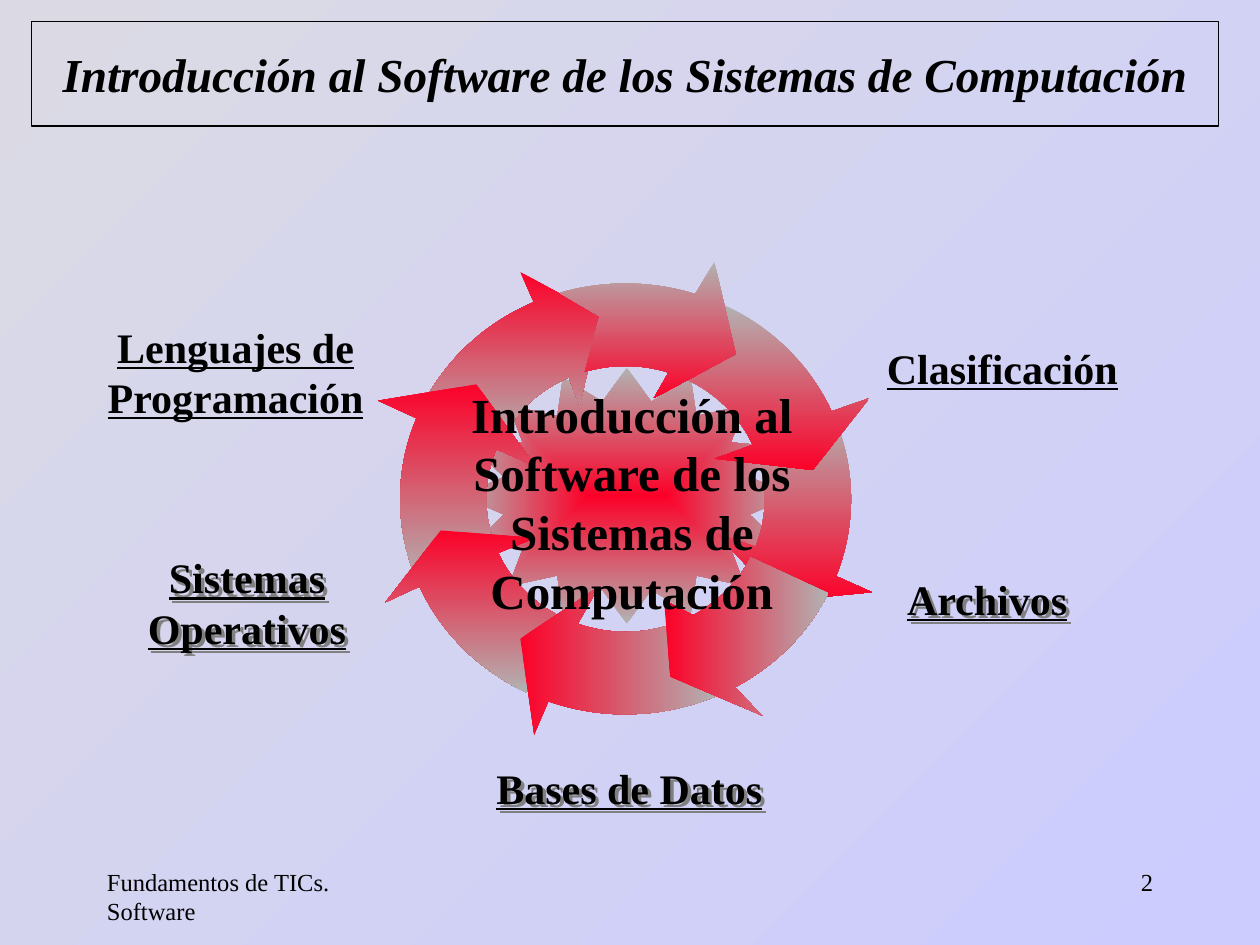
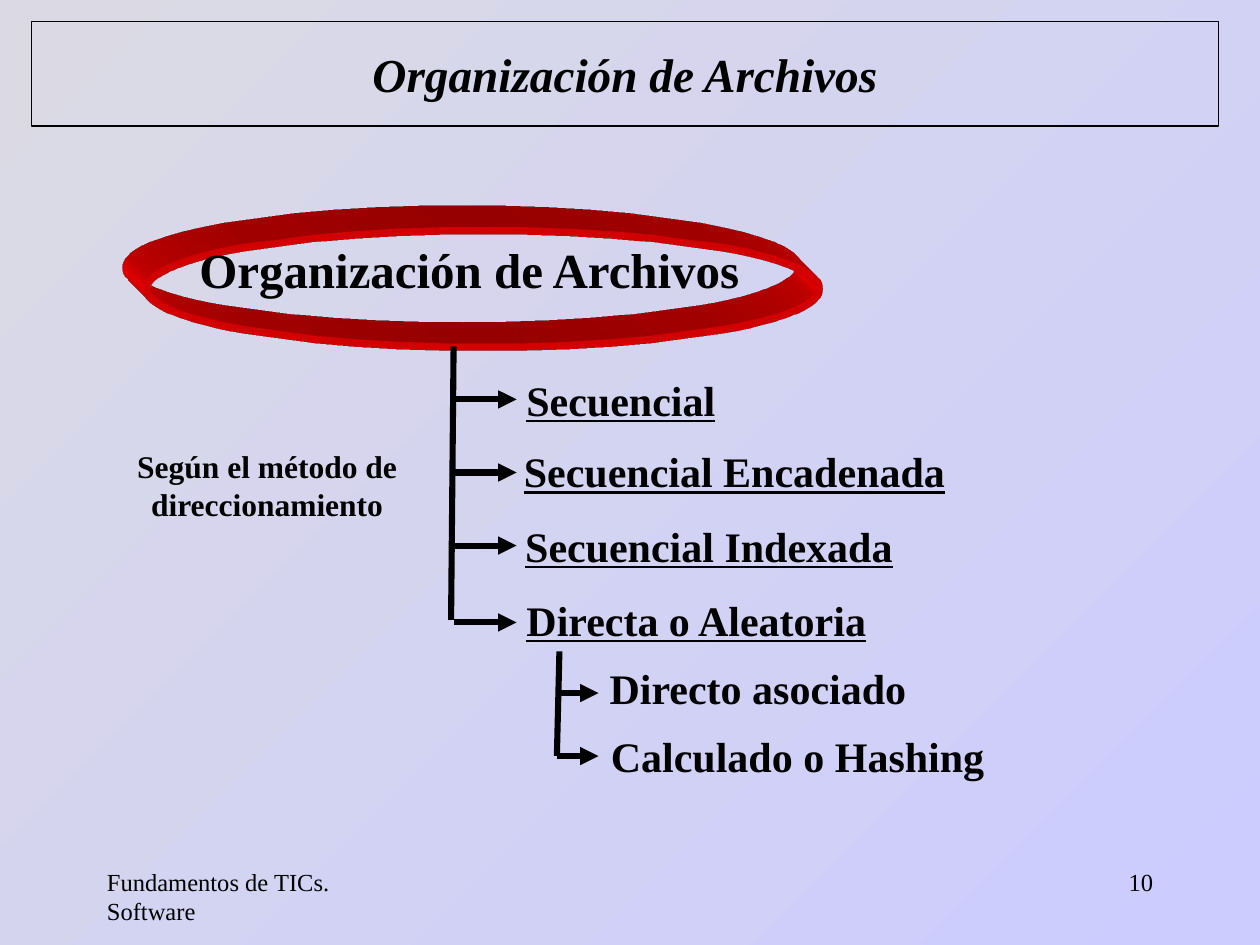
"""Two slides on system software: a ring of topics and a file organisation tree."""
from math import cos, radians, sin

from lxml import etree
from pptx import Presentation
from pptx.dml.color import RGBColor
from pptx.enum import shapes, text
from pptx.oxml import parse_xml
from pptx.oxml.ns import nsdecls, qn
from pptx.util import Inches, Pt

BLACK = RGBColor(0, 0, 0)
RED = RGBColor(0xFC, 0x01, 0x28)
GREY = RGBColor(0xB2, 0xB2, 0xB2)
SHADOW_GREY = RGBColor(0x80, 0x80, 0x80)
RING_RED = RGBColor(0xFF, 0, 0)
BG_START = RGBColor(0xDB, 0xDA, 0xE4)
BG_END = RGBColor(0xCC, 0xCC, 0xFF)
FONT = "Times New Roman"
FOOTER = "Fundamentos de TICs. Software"
LEFT, CENTER, RIGHT = text.PP_ALIGN.LEFT, text.PP_ALIGN.CENTER, text.PP_ALIGN.RIGHT
DOWN, ACROSS = 270, 0

RING_CENTER = (4.965, 3.96)
OUTER_RADII = (1.79, 1.71)
INNER_RADII = (1.105, 1.055)

# tail angle, neck angle, head points, tail notch, colours, gradient angle
RING_ARROWS = [
    (205, 246, [(4.13, 2.16), (4.77, 2.51), (4.6, 3.22)], [], (RED, GREY), DOWN),
    (157, 202, [(3, 3.18), (3.78, 3.05), (4.25, 3.7)], [], (RED, GREY), DOWN),
    (116, 156, [(3.06, 4.78), (3.5, 4.21), (4.25, 4.27)], [], (RED, GREY), DOWN),
    (66, 110, [(4.24, 5.83), (4.13, 5.07), (4.75, 4.66)], [], (RED, GREY), ACROSS),
    (-23, 21, [(6.92, 4.7), (6.19, 4.77), (5.68, 4.23)], [], (GREY, RED), DOWN),
    (-64, -24, [(6.9, 3.16), (6.45, 3.73), (5.67, 3.64)], [], (GREY, RED), DOWN),
    (-107, -72, [(5.67, 2.08), (5.84, 2.81), (5.19, 3.16)], [(4.76, 2.51)],
     (GREY, RED), DOWN),
    (26, 61, [(6.05, 5.68), (5.32, 5.37), (5.27, 4.76)], [], (RED, GREY), ACROSS),
]

TOPICS = [
    ("Archivos", 6.67, 4.5, 2.33, 0.5, True),
    ("Sistemas Operativos", 0.67, 4.33, 2.58, 0.9, True),
    ("Bases de Datos", 3.83, 6, 2.33, 0.5, True),
    ("Lenguajes de Programación", 0.33, 2.5, 3.08, 0.9, False),
    ("Clasificación", 6.83, 2.67, 2.25, 0.5, False),
]

METHODS = [
    ("Secuencial", 4.08, 2.92, 3.17),
    ("Secuencial Encadenada", 4.06, 3.49, 3.75),
    ("Secuencial Indexada", 4.07, 4.08, 4.33),
    ("Directa o Aleatoria", 4.08, 4.67, 4.94),
]
DIRECT_METHODS = [
    ("Directo asociado", 4.74, 5.21, 5.5),
    ("Calculado o Hashing", 4.75, 5.75, 6),
]


def fill_gradient(fill, colors, angle):
    """Fill with two colours along an angle."""
    fill.gradient()
    fill.gradient_angle = angle
    for stop, color in zip(fill.gradient_stops, colors):
        stop.color.rgb = color


def add_run(p, words, size, bold=False, italic=False, underline=False):
    """Append a formatted run to a paragraph."""
    r = p.add_run()
    r.text = words
    r.font.name, r.font.size = FONT, Pt(size)
    r.font.bold, r.font.italic, r.font.underline = bold, italic, underline
    r.font.color.rgb = BLACK


def add_shadow(sp):
    """Give an unfilled text box a shadow that falls from its letters."""
    sp._element.spPr.append(parse_xml(
        f'<a:effectLst {nsdecls("a")}><a:outerShdw dist="35921" dir="2700000" '
        f'algn="ctr" rotWithShape="0"><a:srgbClr val="{SHADOW_GREY}"/>'
        '</a:outerShdw></a:effectLst>'))


def add_text(s, words, box, size, align=LEFT, **style):
    """Add a wrapped text box and return it."""
    sp = s.shapes.add_textbox(*map(Inches, box))
    tf = sp.text_frame
    tf.word_wrap = True
    p = tf.paragraphs[0]
    p.alignment = align
    add_run(p, words, size, **style)
    return sp


def add_slide(prs, title, number):
    """Add a slide with the framed title, footer and number."""
    s = prs.slides.add_slide(prs.slide_layouts[5])
    sp = s.shapes.title
    sp.left, sp.top, sp.width, sp.height = map(Inches, (0.25, 0.17, 9.42, 0.83))
    sp.line.color.rgb, sp.line.width = BLACK, Pt(0.75)
    tf = sp.text_frame
    tf.auto_size = text.MSO_AUTO_SIZE.NONE
    tf.vertical_anchor = text.MSO_ANCHOR.MIDDLE
    p = tf.paragraphs[0]
    p.alignment = CENTER
    add_run(p, title, 27, bold=True, italic=True)
    add_text(s, FOOTER, (0.75, 6.83, 2.08, 0.5), 14)
    add_text(s, str(number), (7.17, 6.83, 2.08, 0.5), 14, RIGHT)
    return s


def arc_points(radii, start, end, steps=18):
    """Return points along an ellipse around the ring centre."""
    angles = [radians(start + (end - start) * i / steps) for i in range(steps + 1)]
    return [(RING_CENTER[0] + radii[0] * cos(a), RING_CENTER[1] + radii[1] * sin(a))
            for a in angles]


def add_ring_arrow(s, tail, neck, head, notch, colors, angle):
    """Draw one curved arrow of the ring."""
    outline = (arc_points(OUTER_RADII, tail, neck) + head
               + arc_points(INNER_RADII, neck, tail) + notch)
    points = [(Inches(x), Inches(y)) for x, y in outline]
    builder = s.shapes.build_freeform(*points[0])
    builder.add_line_segments(points[1:], close=True)
    sp = builder.convert_to_shape()
    sp.shadow.inherit = False
    sp.line.fill.background()
    fill_gradient(sp.fill, colors, angle)


def add_star(s):
    """Draw the star that glows from its centre."""
    sp = s.shapes.add_shape(shapes.MSO_SHAPE.STAR_16_POINT,
                            *map(Inches, (3.65, 2.92, 2.65, 2.03)))
    sp.adjustments[0] = 0.375
    sp.shadow.inherit = False
    sp.line.fill.background()
    fill_gradient(sp.fill, (RED, GREY), ACROSS)
    grad = sp._element.spPr.find(qn("a:gradFill"))
    grad.remove(grad.find(qn("a:lin")))
    glow = etree.SubElement(grad, qn("a:path"), path="shape")
    etree.SubElement(glow, qn("a:fillToRect"),
                     {side: "50000" for side in "ltrb"})


def add_extruded_ellipse(s):
    """Draw the red ellipse outline with an oblique extrusion."""
    sp = s.shapes.add_shape(shapes.MSO_SHAPE.OVAL,
                            *map(Inches, (1.17, 1.83, 5.33, 0.92)))
    sp.shadow.inherit = False
    sp.fill.background()
    sp.line.color.rgb, sp.line.width = RING_RED, Pt(4.25)
    spPr = sp._element.spPr
    spPr.append(parse_xml(
        f'<a:scene3d {nsdecls("a")}><a:camera prst="legacyObliqueTopLeft"/>'
        '<a:lightRig rig="legacyFlat3" dir="b"/></a:scene3d>'))
    spPr.append(parse_xml(
        f'<a:sp3d {nsdecls("a")} extrusionH="430200" prstMaterial="legacyMatte">'
        '<a:bevelT w="13500" h="13500" prst="angle"/>'
        '<a:bevelB w="13500" h="13500" prst="angle"/>'
        f'<a:extrusionClr><a:srgbClr val="{RING_RED}"/></a:extrusionClr></a:sp3d>'))


def add_line(s, start, end, arrow=False):
    """Draw a thick black line, with an arrowhead on request."""
    c = s.shapes.add_connector(shapes.MSO_CONNECTOR.STRAIGHT,
                               *map(Inches, (*start, *end)))
    c.line.color.rgb, c.line.width = BLACK, Pt(3.5)
    if arrow:
        etree.SubElement(c.line._get_or_add_ln(), qn("a:tailEnd"), type="triangle")
    etree.SubElement(c._element.spPr, qn("a:effectLst"))


def add_branches(s, items, trunk, branch_x, arrow_x, underline):
    """Draw a trunk line with an arrow and a label for each item."""
    add_line(s, *trunk)
    for words, x, y, arrow_y in items:
        add_line(s, (branch_x, arrow_y), (arrow_x, arrow_y), arrow=True)
        add_text(s, words, (x, y, 3.94, 0.5), 24, bold=True, underline=underline)


def build_topics(prs):
    """Build the slide with the ring of topics."""
    title = "Introducción al Software de los Sistemas de Computación"
    s = add_slide(prs, title, 2)
    add_star(s)
    for arrow in RING_ARROWS:
        add_ring_arrow(s, *arrow)
    add_text(s, title, (3.58, 3, 2.87, 1.97), 28, CENTER, bold=True)
    for words, *box, shadow in TOPICS:
        sp = add_text(s, words, box, 24, CENTER, bold=True, underline=True)
        if shadow:
            add_shadow(sp)


def build_files(prs):
    """Build the slide with the file organisation tree."""
    title = "Organización de Archivos"
    s = add_slide(prs, title, 10)
    add_extruded_ellipse(s)
    sp = add_text(s, title, (1.17, 2.01, 5.11, 0.4), 28, CENTER, bold=True)
    sp.text_frame.paragraphs[0].line_spacing = Pt(22)
    add_text(s, "Según el método de direccionamiento", (0.83, 3.5, 2.58, 0.7),
             18, CENTER, bold=True)
    add_branches(s, METHODS, ((3.6, 2.75), (3.58, 4.92)), 3.6, 4.1, True)
    add_branches(s, DIRECT_METHODS, ((4.44, 5.17), (4.42, 6)), 4.42, 4.75, False)


def main():
    """Build and save the presentation."""
    prs = Presentation()
    prs.slide_width, prs.slide_height = Inches(10), Inches(7.5)
    fill_gradient(prs.slide_master.background.fill, (BG_START, BG_END), 315)
    build_topics(prs)
    build_files(prs)
    prs.save("out.pptx")


if __name__ == "__main__":
    main()
